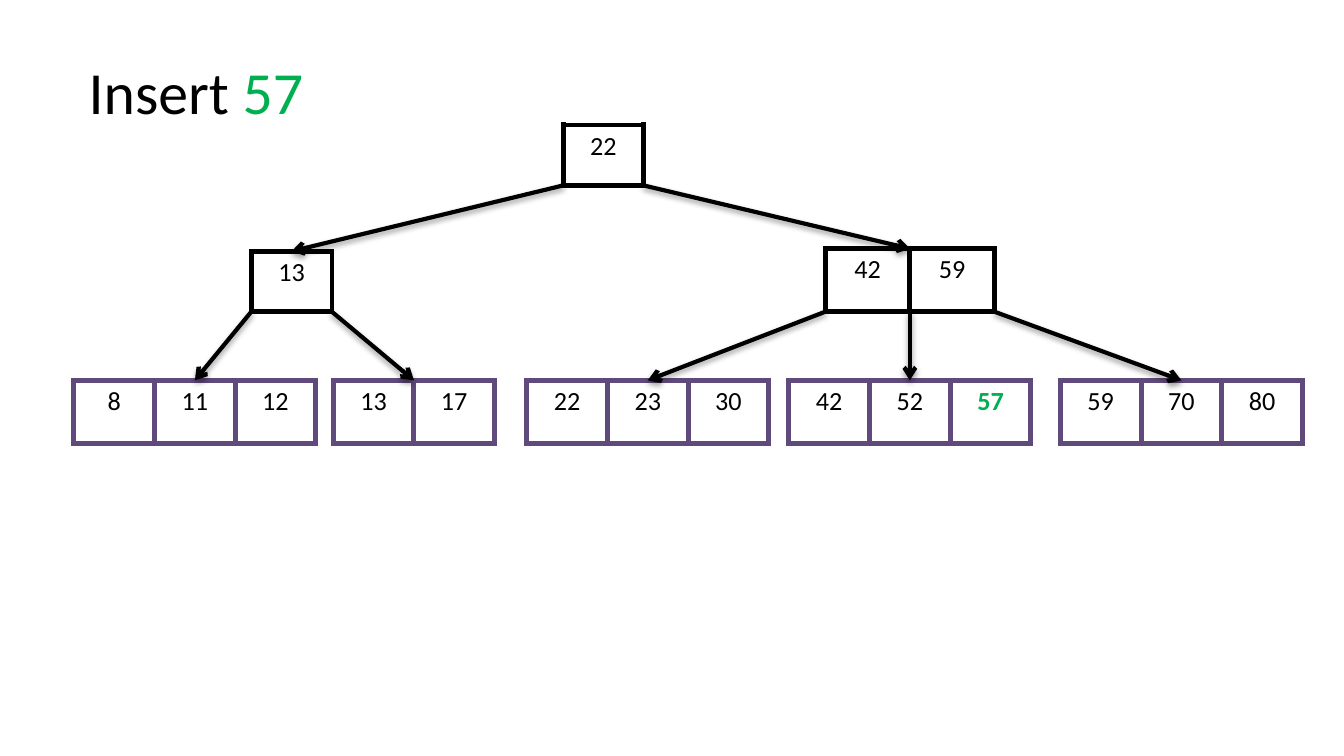
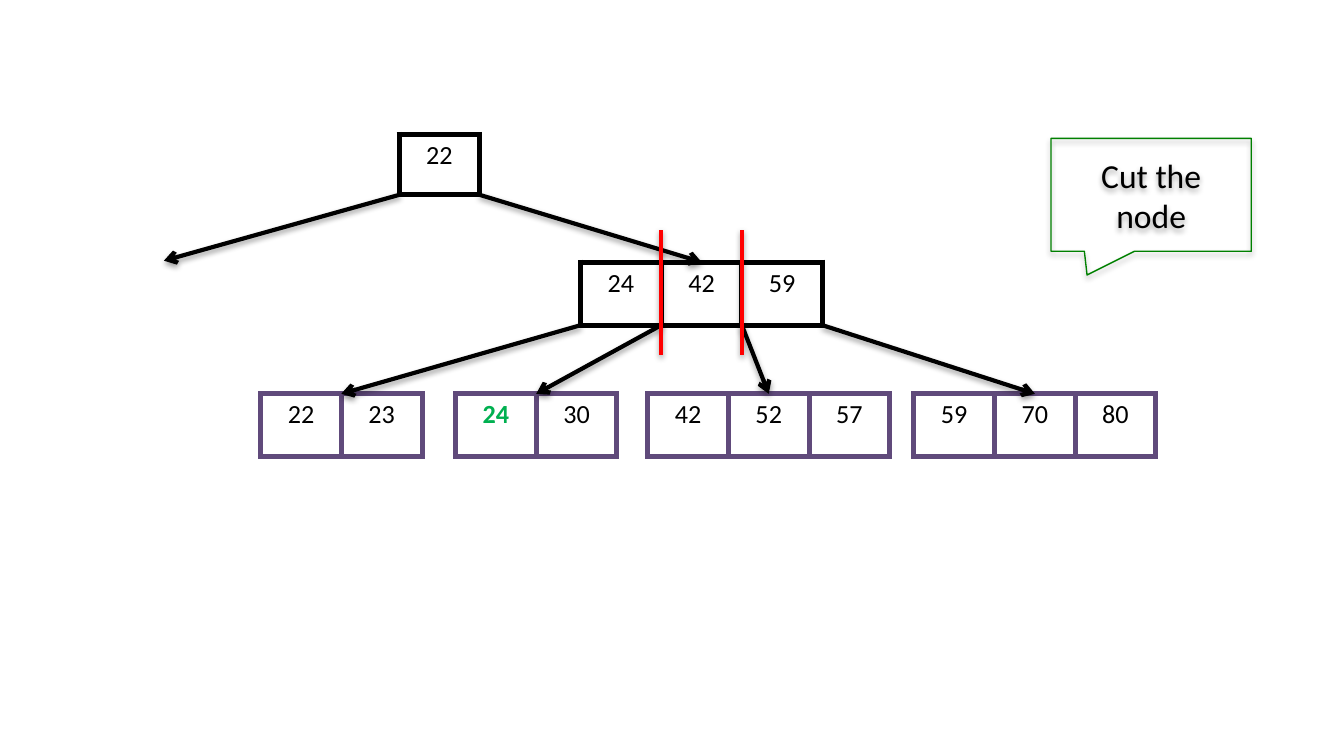
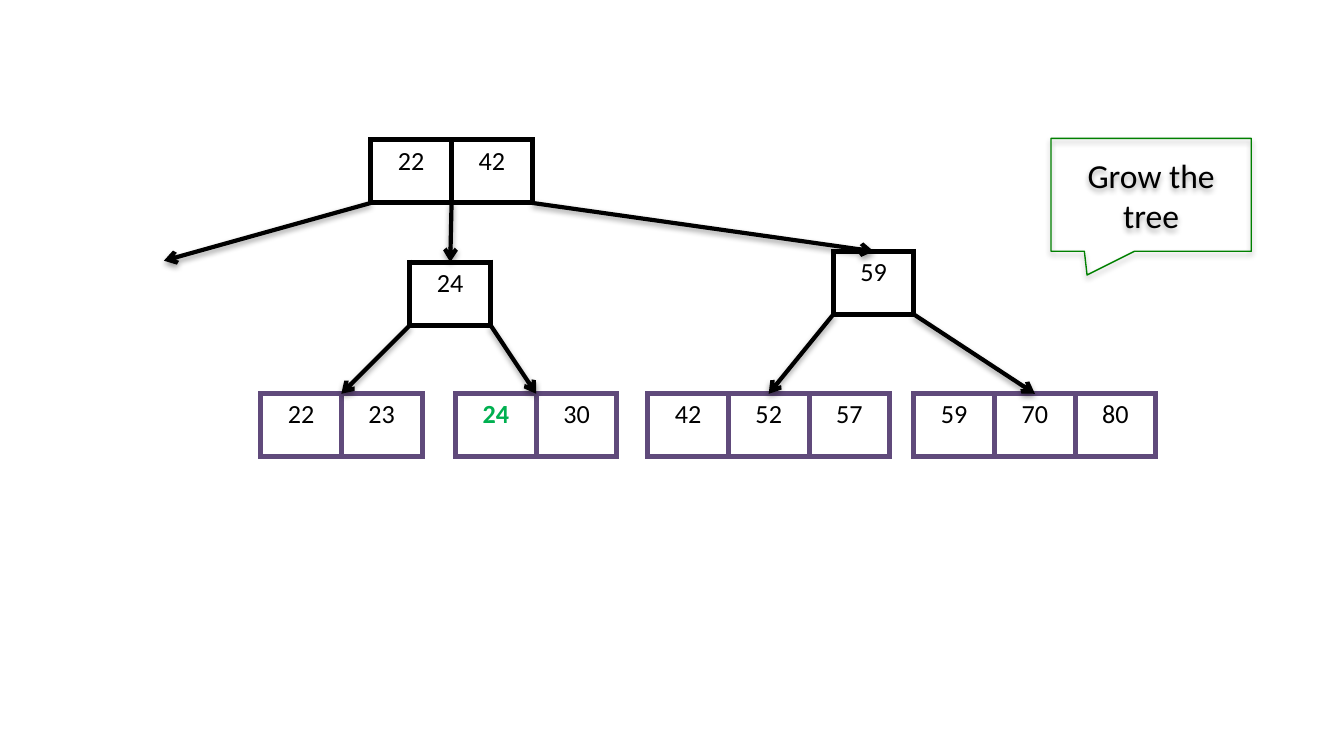
from dataclasses import dataclass, field
from typing import Any, NamedTuple

from lxml.etree import SubElement
from pptx import Presentation
from pptx.dml.color import RGBColor
from pptx.enum.shapes import MSO_CONNECTOR, MSO_SHAPE
from pptx.enum.text import MSO_ANCHOR, MSO_AUTO_SIZE, PP_ALIGN
from pptx.oxml.ns import qn
from pptx.util import Inches, Pt

WIDE = Inches(10)
HIGH = WIDE * 9 // 16
COLS, ROWS = 100, 56.25
TITLE_ONLY, BLANK = 5, 6


@dataclass(frozen=True)
class Theme:
    font: str = "Calibri"
    ink: str = "000000"
    leaf: str = "604A7B"
    new: str = "00B050"
    note: str = "008000"
    cut: str = "FF0000"
    sizes: dict[str, int] = field(
        default_factory=lambda: {"key": 14, "note": 18, "title": 32})
    lines: dict[str, float] = field(
        default_factory=lambda: {"cell": 3, "link": 2.25, "cut": 2, "note": 0.75})


THEME = Theme()


class Spot(NamedTuple):
    x: float
    y: float


@dataclass(frozen=True)
class Node:
    keys: tuple[int, ...]
    x: float
    y: float
    color: str = THEME.ink
    new: int = 0
    wide: float = 6
    tall: float = 4.7

    def top(self) -> Spot:
        return Spot(self.x + self.wide * len(self.keys) / 2, self.y)

    def slot(self, step: int) -> Spot:
        return Spot(self.x + self.wide * step, self.y + self.tall)


class Link(NamedTuple):
    start: Node
    step: int
    end: Spot


@dataclass(frozen=True)
class Tree:
    nodes: list[Node]
    links: list[Link]


def col(count: float) -> int:
    return round(WIDE * count / COLS)


def row(count: float) -> int:
    return round(HIGH * count / ROWS)


def box(x: float, y: float, wide: float, tall: float) -> tuple[int, int, int, int]:
    return col(x), row(y), col(wide), row(tall)


def put(target: Any, values: dict[str, Any]) -> None:
    for name, value in values.items():
        setattr(target, name, value)


def write(para: Any, text: str, kind: str, color: str, bold: bool = False) -> None:
    run = para.add_run()
    run.text = text
    put(run.font, {"name": THEME.font, "size": Pt(THEME.sizes[kind]), "bold": bold})
    run.font.color.rgb = RGBColor.from_string(color)


def stroke(shape: Any, color: str, kind: str) -> None:
    shape.line.color.rgb = RGBColor.from_string(color)
    shape.line.width = Pt(THEME.lines[kind])


def shade(shape: Any, share: int, gap: int) -> None:
    effects = SubElement(shape.element.spPr, qn("a:effectLst"))
    shadow = SubElement(effects, qn("a:outerShdw"), blurRad="40000", dist=str(gap),
                        dir="5400000", rotWithShape="0")
    tone = SubElement(shadow, qn("a:srgbClr"), val=THEME.ink)
    SubElement(tone, qn("a:alpha"), val=str(share * 1000))


def edge(cell: Any, color: str) -> None:
    frame = cell._tc.get_or_add_tcPr()
    for side in ("lnL", "lnR", "lnT", "lnB"):
        line = SubElement(frame, qn(f"a:{side}"), w=str(Pt(THEME.lines["cell"])))
        SubElement(SubElement(line, qn("a:solidFill")), qn("a:srgbClr"), val=color)


def draw_node(slide: Any, node: Node) -> None:
    count = len(node.keys)
    place = box(node.x, node.y, node.wide * count, node.tall)
    table = slide.shapes.add_table(1, count, *place).table
    put(table, {"first_row": False, "horz_banding": False})
    for step, key in enumerate(node.keys):
        table.columns[step].width = col(node.wide)
        cell = table.cell(0, step)
        put(cell, {"margin_left": Inches(0.1), "margin_right": Inches(0.1),
                   "margin_top": Inches(0.04), "margin_bottom": Inches(0.04)})
        edge(cell, node.color)
        cell.fill.background()
        para = cell.text_frame.paragraphs[0]
        para.alignment = PP_ALIGN.CENTER
        fresh = key == node.new
        write(para, str(key), "key", THEME.new if fresh else THEME.ink, fresh)


def draw_line(slide: Any, start: Spot, end: Spot, color: str, kind: str) -> None:
    line = slide.shapes.add_connector(
        MSO_CONNECTOR.STRAIGHT, col(start.x), row(start.y), col(end.x), row(end.y))
    stroke(line, color, kind)
    if kind == "link":
        SubElement(line.element.spPr.find(qn("a:ln")), qn("a:tailEnd"), type="arrow")
    shade(line, 38, 20000)


def draw_tree(slide: Any, tree: Tree) -> None:
    for node in tree.nodes:
        draw_node(slide, node)
    for link in tree.links:
        draw_line(slide, link.start.slot(link.step), link.end, THEME.ink, "link")


def draw_note(slide: Any, text: str) -> None:
    note = slide.shapes.add_shape(
        MSO_SHAPE.RECTANGULAR_CALLOUT, *box(78.2, 10.3, 14.9, 8.4))
    note.adjustments[0], note.adjustments[1] = -0.32, 0.71
    note.fill.background()
    stroke(note, THEME.note, "note")
    shade(note, 35, 23000)
    put(note.text_frame, {"word_wrap": True, "vertical_anchor": MSO_ANCHOR.MIDDLE})
    para = note.text_frame.paragraphs[0]
    para.alignment = PP_ALIGN.CENTER
    write(para, text, "note", THEME.ink)


def draw_title(slide: Any, text: str, key: str) -> None:
    title = slide.shapes.title
    place = box(5.6, 3.6, 21, 6.4)
    put(title, dict(zip(("left", "top", "width", "height"), place)))
    put(title.text_frame, {"word_wrap": True, "vertical_anchor": MSO_ANCHOR.TOP,
                           "auto_size": MSO_AUTO_SIZE.SHAPE_TO_FIT_TEXT})
    para = title.text_frame.paragraphs[0]
    para.alignment = PP_ALIGN.LEFT
    write(para, text, "title", THEME.ink)
    write(para, key, "title", THEME.new)


def fan(node: Node, *ends: Node | Spot) -> list[Link]:
    last = len(node.keys)
    return [Link(node, min(step, last), end.top() if isinstance(end, Node) else end)
            for step, end in enumerate(ends)]


def leaves(y: float, new: int, *specs: tuple[float, tuple[int, ...]]) -> list[Node]:
    return [Node(keys, x, y, THEME.leaf, new) for x, keys in specs]


def first_tree() -> Tree:
    base = leaves(28.3, 57, (5.5, (8, 11, 12)), (24.8, (13, 17)),
                  (39.2, (22, 23, 30)), (58.7, (42, 52, 57)), (78.9, (59, 70, 80)))
    root = Node((22,), 41.9, 9.3, tall=4.5)
    left = Node((13,), 18.7, 18.7, tall=4.5)
    right = Node((42, 59), 61.4, 18.5, wide=6.3)
    return Tree([root, left, right, *base],
                fan(root, left, right) + fan(left, *base[:2]) + fan(right, *base[2:]))


LOWER = leaves(29.3, 24, (19.4, (22, 23)), (33.9, (24, 30)),
               (48.2, (42, 52, 57)), (68, (59, 70, 80)))
AWAY = Spot(12.2, 19.4)
FULL = Node((24, 42, 59), 43.2, 19.5)


def cut_tree() -> Tree:
    root = Node((22,), 29.7, 10, tall=4.5)
    return Tree([root, FULL, *LOWER], fan(root, AWAY, FULL) + fan(FULL, *LOWER))


def grown_tree() -> Tree:
    root = Node((22, 42), 27.6, 10.4)
    left = Node((24,), 30.5, 19.5)
    right = Node((59,), 62, 18.7)
    return Tree([root, left, right, *LOWER],
                fan(root, AWAY, left, right)
                + fan(left, *LOWER[:2]) + fan(right, *LOWER[2:]))


def main() -> None:
    deck = Presentation()
    put(deck, {"slide_width": WIDE, "slide_height": HIGH})

    slide = deck.slides.add_slide(deck.slide_layouts[TITLE_ONLY])
    draw_title(slide, "Insert ", "57")
    draw_tree(slide, first_tree())

    slide = deck.slides.add_slide(deck.slide_layouts[BLANK])
    draw_tree(slide, cut_tree())
    draw_note(slide, "Cut the node")
    for step in (1, 2):
        x = FULL.slot(step).x
        draw_line(slide, Spot(x, 26.4), Spot(x, 17.1), THEME.cut, "cut")

    slide = deck.slides.add_slide(deck.slide_layouts[BLANK])
    draw_tree(slide, grown_tree())
    draw_note(slide, "Grow the tree")

    deck.save("out.pptx")


if __name__ == "__main__":
    main()
